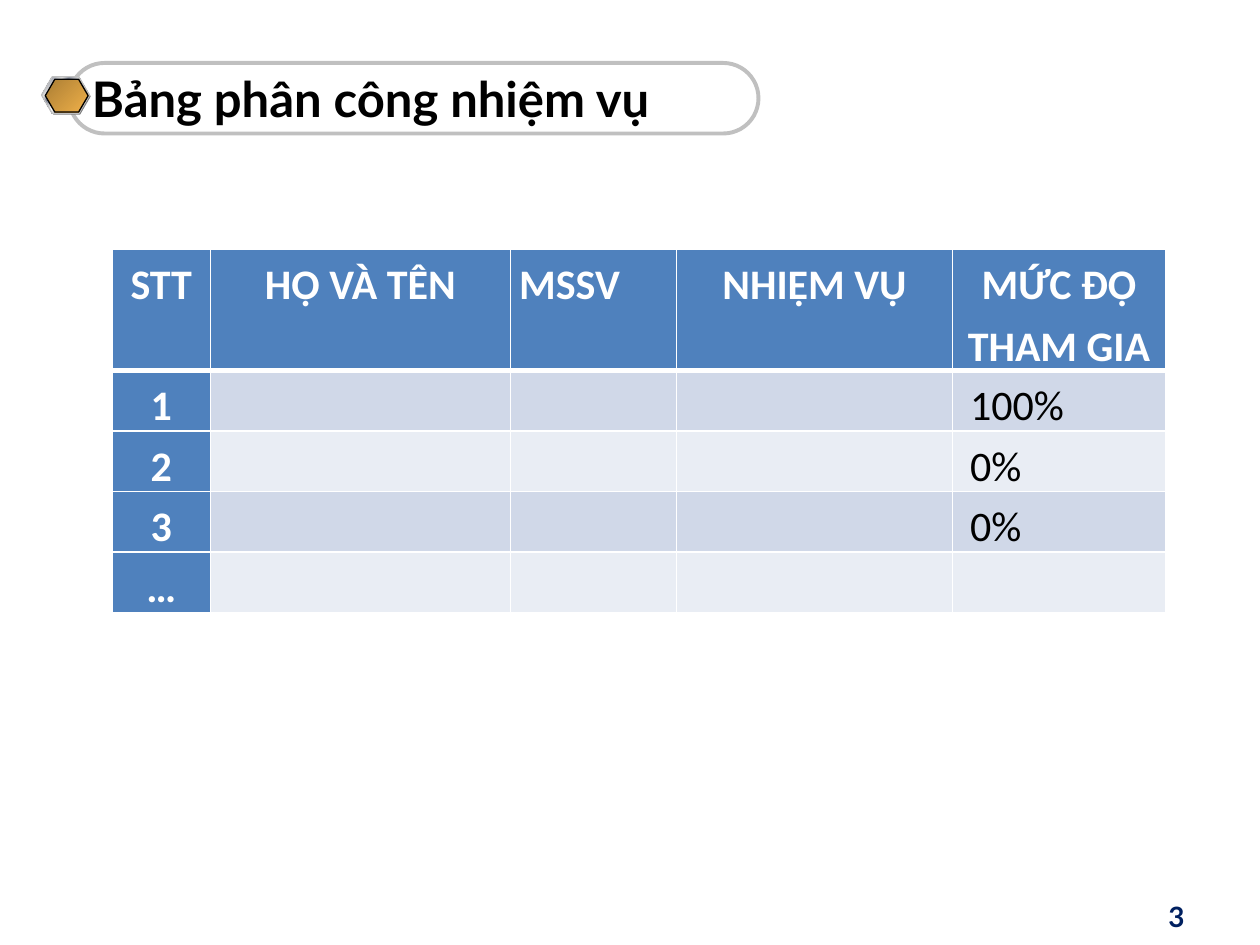
"""Build a task assignment slide with a title badge and a table."""
from dataclasses import dataclass

import lxml.etree
import pptx
import pptx.dml.color
import pptx.enum.shapes
import pptx.enum.text
import pptx.oxml.ns
import pptx.util

Inches = pptx.util.Inches
Pt = pptx.util.Pt
qn = pptx.oxml.ns.qn
SHAPE = pptx.enum.shapes.MSO_SHAPE
ALIGN = pptx.enum.text.PP_ALIGN
MIDDLE = pptx.enum.text.MSO_ANCHOR.MIDDLE

COLORS = {
    "white": "FFFFFF", "black": "000000", "navy": "002060",
    "silver": "C0C0C0", "shadow": "808080", "header": "4F81BD",
    "odd": "D0D8E8", "even": "E9EDF4", "bronze": "AB7E34", "gold": "EFB049",
    "steel": "7D8496", "chrome": "E6E6E6",
}
CHROME = (
    (0, "chrome"), (7, "steel"), (26, "chrome"), (34, "steel"),
    (46, "chrome"), (50, "white"), (54, "chrome"), (66, "steel"),
    (74, "chrome"), (93, "steel"), (100, "chrome"),
)
GOLD = ((0, "bronze"), (100, "gold"))
COL_WIDTHS = (0.78, 2.38, 1.32, 2.19, 1.69)
ROW_HEIGHTS = (0.95,) + (0.48,) * 4
HEADERS = ("STT", "HỌ VÀ TÊN", "MSSV", "NHIỆM VỤ", "MỨC ĐỘ THAM GIA")
SHARES = {"1": "100%", "2": "0%", "3": "0%", "…": ""}


@dataclass
class Hexagon:
    """One layer of the title badge."""
    left: float
    top: float
    width: float
    height: float
    stops: tuple
    line: str = ""


BADGE = (
    Hexagon(0.34, 0.62, 0.38, 0.29, ((0, "shadow"),)),
    Hexagon(0.33, 0.61, 0.38, 0.29, CHROME, "silver"),
    Hexagon(0.36, 0.63, 0.34, 0.26, GOLD, "black"),
)


def rgb(name: str) -> pptx.dml.color.RGBColor:
    """Return the named colour."""
    return pptx.dml.color.RGBColor.from_string(COLORS[name])


def set_attrs(target, values: dict) -> None:
    """Set each format value on the target."""
    for name, value in values.items():
        setattr(target, name, value)


def write(tf, text: str, color: str, font: dict, para: dict) -> None:
    """Write one formatted paragraph."""
    p = tf.paragraphs[0]
    set_attrs(p, para)
    r = p.add_run()
    r.text = text
    set_attrs(r.font, font)
    r.font.color.rgb = rgb(color)


def fill_gradient(s, stops: tuple) -> None:
    """Fill a shape with a diagonal gradient."""
    s.fill.gradient()
    s.fill.gradient_angle = 315
    stop_list = s.element.spPr.find(".//" + qn("a:gsLst"))
    stop_list.clear()
    for position, color in stops:
        gs = lxml.etree.SubElement(stop_list, qn("a:gs"), pos=str(position * 1000))
        lxml.etree.SubElement(gs, qn("a:srgbClr"), val=COLORS[color])


def add_hexagon(slide, layer: Hexagon) -> None:
    """Draw one badge layer."""
    box = (layer.left, layer.top, layer.width, layer.height)
    s = slide.shapes.add_shape(SHAPE.HEXAGON, *map(Inches, box))
    s.shadow.inherit = False
    s.adjustments[0] = 0.29
    if len(layer.stops) > 1:
        fill_gradient(s, layer.stops)
    else:
        s.fill.solid()
        s.fill.fore_color.rgb = rgb(layer.stops[0][1])
    if layer.line:
        s.line.color.rgb = rgb(layer.line)
        s.line.width = Pt(0.75)
    else:
        s.line.fill.background()


def add_title(slide, text: str) -> None:
    """Draw the rounded title frame."""
    s = slide.shapes.add_shape(
        SHAPE.ROUNDED_RECTANGLE, Inches(0.55), Inches(0.5), Inches(5.47), Inches(0.56))
    s.shadow.inherit = False
    s.adjustments[0] = 0.5
    s.fill.background()
    s.line.color.rgb = rgb("silver")
    s.line.width = Pt(2.25)
    set_attrs(s.text_frame, {"word_wrap": True, "vertical_anchor": MIDDLE})
    write(s.text_frame, text, "black",
          {"name": "Lato", "size": Pt(28), "bold": True}, {"alignment": ALIGN.LEFT})


def add_number(slide, text: str) -> None:
    """Write the slide number."""
    s = slide.shapes.add_textbox(Inches(7.17), Inches(7.07), Inches(2.33), Inches(0.4))
    set_attrs(s.text_frame, {"word_wrap": True, "vertical_anchor": MIDDLE})
    write(s.text_frame, text, "navy",
          {"name": "Lato", "size": Pt(16), "bold": True}, {"alignment": ALIGN.RIGHT})


def style_cell(cell, color: str, bottom: float) -> None:
    """Give a cell white borders and a solid fill."""
    props = cell._tc.get_or_add_tcPr()
    for side, width in {"L": 1, "R": 1, "T": 1, "B": bottom}.items():
        ln = lxml.etree.SubElement(props, qn(f"a:ln{side}"), w=str(Pt(width)))
        fill = lxml.etree.SubElement(ln, qn("a:solidFill"))
        lxml.etree.SubElement(fill, qn("a:srgbClr"), val=COLORS["white"])
    cell.fill.solid()
    cell.fill.fore_color.rgb = rgb(color)


def add_assignments(slide) -> None:
    """Draw the assignment table."""
    rows = [HEADERS] + [(n, "", "", "", share) for n, share in SHARES.items()]
    frame = slide.shapes.add_table(
        len(rows), len(HEADERS), Inches(0.89), Inches(1.98),
        Inches(sum(COL_WIDTHS)), Inches(sum(ROW_HEIGHTS)))
    table = frame.table
    for column, width in zip(table.columns, COL_WIDTHS):
        column.width = Inches(width)
    for i, (row, height) in enumerate(zip(rows, ROW_HEIGHTS)):
        table.rows[i].height = Inches(height)
        for j, text in enumerate(row):
            cell = table.cell(i, j)
            heading = i == 0 or j == 0
            band = "odd" if i % 2 else "even"
            style_cell(cell, "header" if heading else band, 1 if i else 3)
            set_attrs(cell, {
                "margin_left": Inches(0.07 if heading else 0.14),
                "margin_right": Inches(0.07), "margin_top": 0, "margin_bottom": 0})
            if text:
                centred = heading and text != "MSSV"
                write(cell.text_frame, text, "white" if heading else "black",
                      {"name": "Calibri", "size": Pt(24), "bold": heading},
                      {"alignment": ALIGN.CENTER if centred else ALIGN.JUSTIFY,
                       "line_spacing": 1.2, "space_before": Pt(6)})


def main() -> None:
    """Build and save the slide."""
    prs = pptx.Presentation()
    set_attrs(prs, {"slide_width": Inches(10), "slide_height": Inches(7.5)})
    slide = prs.slides.add_slide(prs.slide_layouts[6])
    add_number(slide, "3")
    add_title(slide, "Bảng phân công nhiệm vụ")
    for layer in BADGE:
        add_hexagon(slide, layer)
    add_assignments(slide)
    prs.save("out.pptx")


if __name__ == "__main__":
    main()
